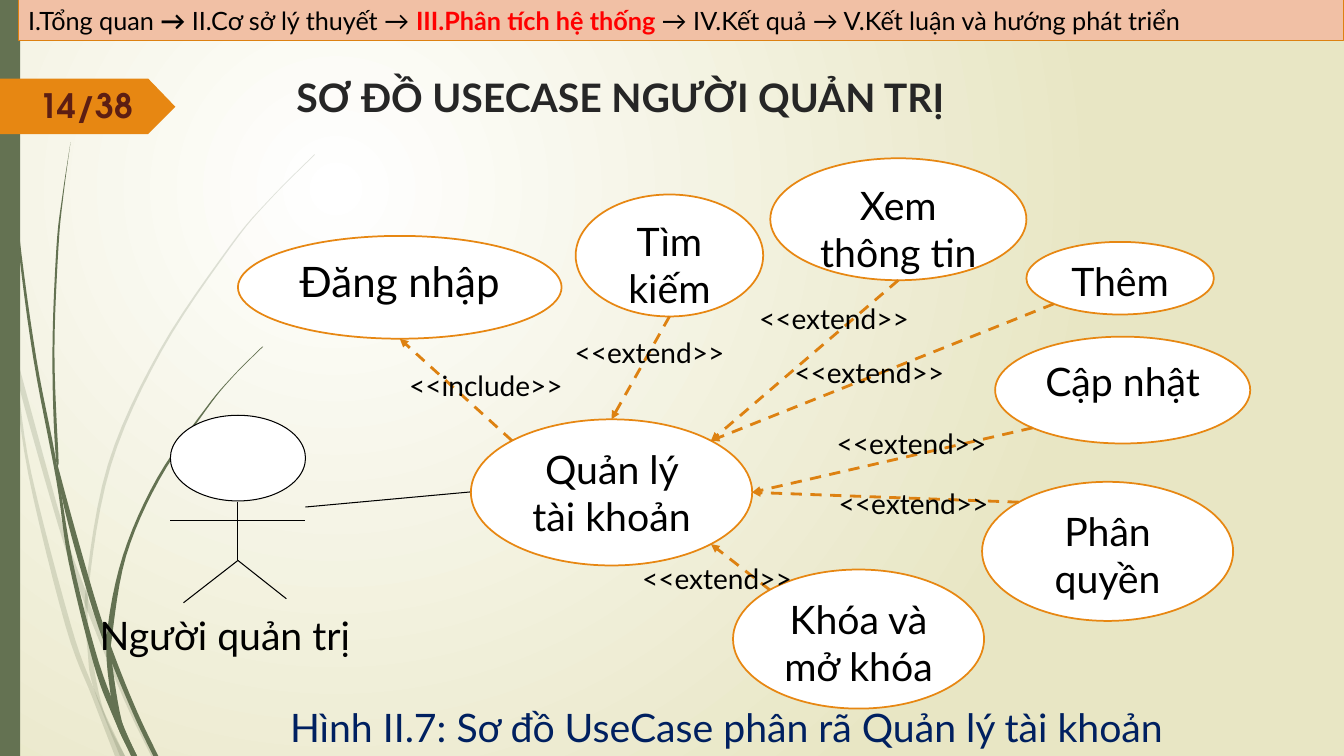
from lxml.etree import SubElement
from pptx import Presentation
from pptx.dml.color import RGBColor
from pptx.enum.dml import MSO_LINE
from pptx.enum.shapes import MSO_CONNECTOR, MSO_SHAPE
from pptx.enum.text import MSO_ANCHOR, MSO_AUTO_SIZE, PP_ALIGN
from pptx.oxml.ns import qn
from pptx.util import Emu, Pt

PX = 9144
SLIDE_SIZE = (1333, 750)
COLORS = {
    "white": "FFFFFF", "cream": "E8E6C4", "green": "647252", "orange": "E78712",
    "arrow": "DD8111", "peach": "F1C0A5", "black": "000000", "red": "FF0000",
    "navy": "002060", "brown": "5C1E13", "title": "262626",
}
BODY_FONT = "Lato"
NUMBER_FONT = "TeX Gyre Adventor"

TITLE = ("SƠ ĐỒ USECASE NGƯỜI QUẢN TRỊ", (284, 68, 975, 140))
BREADCRUMB_BOX = (18, 0, 1315, 40)
BREADCRUMB = [
    ("I.Tổng quan ", "black", False),
    ("→ ", "black", True),
    ("II.Cơ sở lý thuyết → ", "black", False),
    ("III.Phân tích hệ thống ", "red", True),
    ("→ IV.Kết quả → V.Kết luận và hướng phát triển", "black", False),
]
PAGE_NUMBER = ("14/38", (29, 79, 120, 50))
CAPTION = ("Hình II.7: Sơ đồ UseCase phân rã Quản lý tài khoản", (252, 693, 937, 57))
ACTOR_NAME = ("Người quản trị", (89, 602, 320, 57))
ACTOR_HEAD = (169, 412, 134, 85)
ACTOR_LINES = [
    ((236, 498), (236, 556)),
    ((169, 516), (303, 516)),
    ((236, 556), (182, 598)),
    ((236, 556), (284, 594)),
    ((303, 503), (467, 488)),
]
USE_CASES = {
    "Đăng nhập": ((236, 234, 321, 102), 30),
    "Quản lý tài khoản": ((467, 416, 279, 145), 28),
    "Thêm": ((1018, 240, 186, 72), 28),
    "Cập nhật": ((987, 334, 253, 106), 28),
    "Phân quyền": ((974, 478, 249, 138), 28),
    "Khóa và mở khóa": ((727, 565, 249, 138), 28),
    "Tìm kiếm": ((571, 193, 186, 121), 28),
    "Xem thông tin": ((764, 157, 254, 121), 28),
}
HUB = "Quản lý tài khoản"
RELATIONS = [
    (HUB, "NE_LEFT", "Đăng nhập", "S", "<<include>>", (396, 361)),
    ("Tìm kiếm", "S", HUB, "N", "<<extend>>", (560, 328)),
    ("Xem thông tin", "S", HUB, "NE", "<<extend>>", (743, 294)),
    ("Thêm", "SW", HUB, "NE", "<<extend>>", (778, 348)),
    ("Cập nhật", "SW", HUB, "E", "<<extend>>", (820, 418)),
    ("Phân quyền", "NW", HUB, "E", "<<extend>>", (822, 478)),
    ("Khóa và mở khóa", "NW", HUB, "SE", "<<extend>>", (627, 552)),
]
LABEL_SIZE = (190, 44)
NEAR, FAR = 0.5 - 0.125 ** 0.5, 0.5 + 0.125 ** 0.5
SITES = {
    "N": (0.5, 0), "S": (0.5, 1), "E": (1, 0.5), "NE": (FAR, NEAR),
    "SE": (FAR, FAR), "SW": (NEAR, FAR), "NW": (NEAR, NEAR), "NE_LEFT": (NEAR, NEAR),
}
SIDE_BAR = (0, 0, 20, 750)
RIBBON = [(0, 78), (147, 78), (174, 106), (147, 133), (0, 133)]
GRASS = [
    (20, [(0, 299), (11, 350), (28, 470), (65, 621), (92, 693), (114, 750)],
     [(0, 282), (9, 322), (17, 376), (31, 469), (70, 619), (93, 683), (124, 750)]),
    (20, [(14, 345), (17, 376), (58, 522), (84, 599), (123, 694), (150, 750)],
     [(14, 345), (62, 520), (85, 586), (92, 607), (127, 692), (155, 750)]),
    (20, [(312, 153), (268, 197), (228, 244), (158, 348), (107, 461), (85, 584),
          (87, 646), (93, 683), (119, 750)],
     [(312, 154), (268, 198), (229, 245), (160, 349), (110, 462), (88, 584),
      (91, 646), (103, 706), (124, 750)]),
    (100, [(3, 0), (7, 110), (17, 233), (33, 355), (56, 477), (68, 557), (93, 659),
           (111, 708), (130, 750)],
     [(4, 0), (8, 109), (19, 232), (36, 355), (55, 453), (72, 556), (98, 657),
      (122, 719), (136, 750)]),
    (100, [(70, 141), (62, 193), (56, 245), (52, 349), (55, 449), (64, 505), (88, 592),
           (106, 645), (132, 708), (152, 750)],
     [(70, 141), (63, 193), (58, 245), (54, 349), (58, 453), (60, 472), (93, 590),
      (113, 649), (136, 706), (157, 750)]),
    (100, [(260, 344), (231, 373), (204, 405), (156, 474), (122, 551), (106, 631),
           (110, 691), (117, 722), (131, 750)],
     [(261, 344), (231, 374), (205, 406), (158, 476), (125, 552), (111, 633),
      (111, 656), (121, 716), (136, 750)]),
]


def emu(values):
    return [Emu(round(value * PX)) for value in values]


def color(name):
    return RGBColor.from_string(COLORS[name])


def apply(target, values):
    for name, value in values.items():
        setattr(target, name, value)


def write(shape, runs, size, font=BODY_FONT, anchor=MSO_ANCHOR.TOP, **paragraph_format):
    apply(shape.text_frame, {"word_wrap": True, "vertical_anchor": anchor,
                             "auto_size": MSO_AUTO_SIZE.NONE})
    paragraph = shape.text_frame.paragraphs[0]
    apply(paragraph, {"alignment": PP_ALIGN.LEFT, **paragraph_format})
    for text, tint, bold in runs:
        run = paragraph.add_run()
        run.text = text
        apply(run.font, {"name": font, "size": Pt(size), "bold": bold})
        run.font.color.rgb = color(tint)


def paint(shape, fill, line=None, width=0.75):
    shape.shadow.inherit = False
    shape.fill.solid()
    shape.fill.fore_color.rgb = color(fill)
    if line:
        shape.line.color.rgb = color(line)
        shape.line.width = Pt(width)
    else:
        shape.line.fill.background()


def add_preset(slide, kind, box, *style):
    shape = slide.shapes.add_shape(kind, *emu(box))
    paint(shape, *style)
    return shape


def add_label(slide, box, text, size, tint="black", bold=False, **text_format):
    write(slide.shapes.add_textbox(*emu(box)), [(text, tint, bold)], size, **text_format)


def add_line(slide, start, end, tint="black", width=0.75, arrow=False):
    connector = slide.shapes.add_connector(MSO_CONNECTOR.STRAIGHT, *emu((*start, *end)))
    connector.line.color.rgb = color(tint)
    connector.line.width = Pt(width)
    if arrow:
        connector.line.dash_style = MSO_LINE.DASH
        SubElement(connector.line._get_or_add_ln(), qn("a:tailEnd"), type="triangle")
    SubElement(connector._element.spPr, qn("a:effectLst"))


def add_outline(slide, points, fill, opacity=100):
    start, *others = [emu(point) for point in points]
    builder = slide.shapes.build_freeform(*start)
    builder.add_line_segments(others, close=True)
    shape = builder.convert_to_shape()
    paint(shape, fill)
    if opacity < 100:
        tint = shape._element.spPr.find(qn("a:solidFill"))[0]
        SubElement(tint, qn("a:alpha"), val=str(opacity * 1000))


def smooth(points, steps=6):
    padded = [points[0], *points, points[-1]]
    curve = []
    for a, b, c, d in zip(padded, padded[1:], padded[2:], padded[3:]):
        for step in range(steps):
            t = step / steps
            curve.append([q + 0.5 * t * (r - p + t * (2 * p - 5 * q + 4 * r - s
                          + t * (3 * (q - r) + s - p))) for p, q, r, s in zip(a, b, c, d)])
    return curve + [points[-1]]


def site(use_case, name):
    left, top, width, height = USE_CASES[use_case][0]
    across, down = SITES[name]
    return left + across * width, top + down * height


def fill_background(slide):
    fill = slide.background.fill
    fill.gradient()
    for stop, position, tint in zip(fill.gradient_stops, (0, 1), ("white", "cream")):
        stop.position = position
        stop.color.rgb = color(tint)
    gradient = slide._element.find(".//" + qn("a:gradFill"))
    gradient.remove(gradient.find(qn("a:lin")))
    circle = SubElement(gradient, qn("a:path"), {"path": "circle"})
    SubElement(circle, qn("a:fillToRect"), l="50000", t="50000", r="100000", b="100000")


def main():
    presentation = Presentation()
    presentation.slide_width, presentation.slide_height = emu(SLIDE_SIZE)
    slide = presentation.slides.add_slide(presentation.slide_layouts[5])
    fill_background(slide)
    title = slide.shapes.title
    apply(title, dict(zip(("left", "top", "width", "height"), emu(TITLE[1]))))
    write(title, [(TITLE[0], "title", True)], 28)

    for opacity, left_edge, right_edge in GRASS:
        add_outline(slide, smooth(left_edge) + smooth(right_edge)[::-1], "green", opacity)
    add_preset(slide, MSO_SHAPE.RECTANGLE, SIDE_BAR, "green")
    add_outline(slide, RIBBON, "orange")
    add_label(slide, PAGE_NUMBER[1], PAGE_NUMBER[0], 24, "brown", True, font=NUMBER_FONT)
    add_label(slide, CAPTION[1], CAPTION[0], 28, "navy", alignment=PP_ALIGN.CENTER)

    add_preset(slide, MSO_SHAPE.OVAL, ACTOR_HEAD, "white", "black")
    for start, end in ACTOR_LINES:
        add_line(slide, start, end)
    add_label(slide, ACTOR_NAME[1], ACTOR_NAME[0], 28)
    for name, (box, size) in USE_CASES.items():
        oval = add_preset(slide, MSO_SHAPE.OVAL, box, "white", "orange", 1.25)
        write(oval, [(name, "black", False)], size,
              alignment=PP_ALIGN.CENTER, space_after=Pt(10))
    for source, source_site, target, target_site, label, corner in RELATIONS:
        add_line(slide, site(source, source_site), site(target, target_site), "arrow", 2, True)
        add_label(slide, (*corner, *LABEL_SIZE), label, 20)

    header = add_preset(slide, MSO_SHAPE.RECTANGLE, BREADCRUMB_BOX, "peach", "arrow")
    write(header, BREADCRUMB, 18, anchor=MSO_ANCHOR.MIDDLE)
    presentation.save("out.pptx")


if __name__ == "__main__":
    main()
